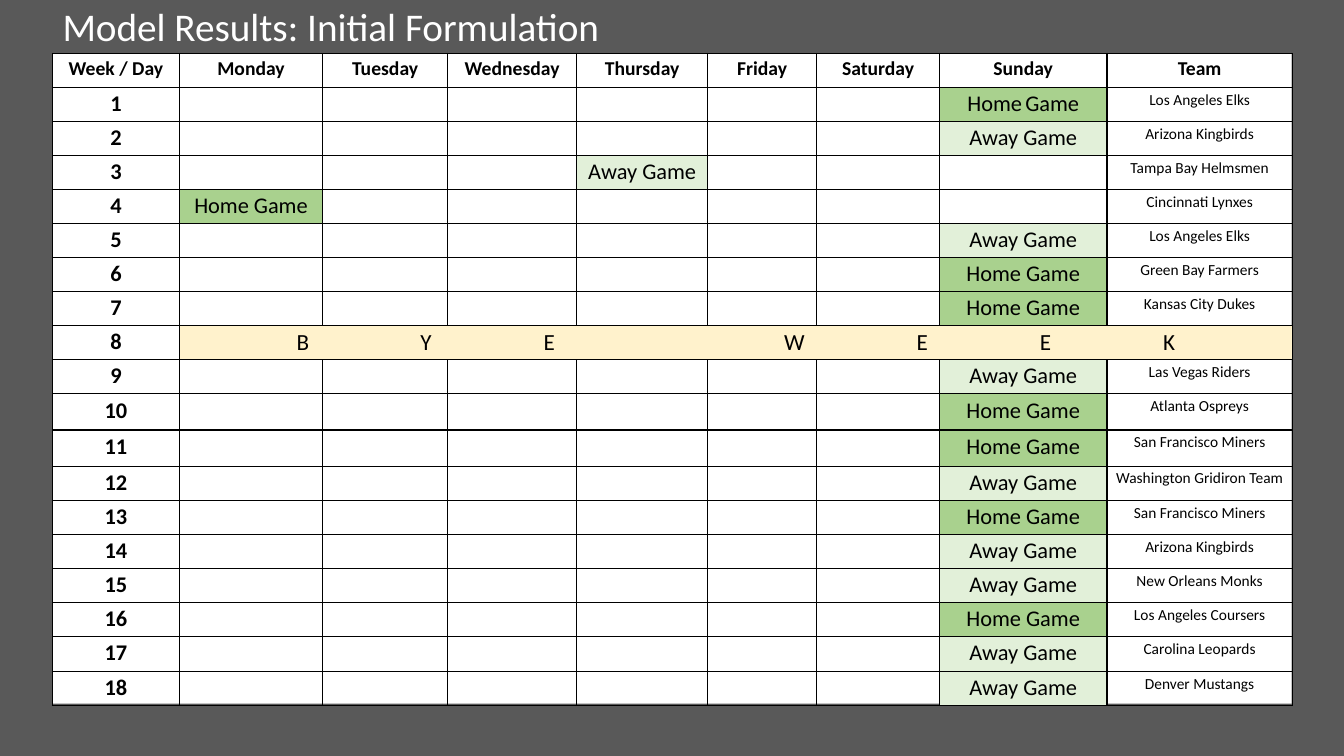
from typing import NamedTuple

from lxml.etree import SubElement
from pptx import Presentation
from pptx.dml.color import RGBColor
from pptx.enum.shapes import MSO_SHAPE as Shape
from pptx.enum.text import MSO_ANCHOR as Anchor, PP_ALIGN as Align
from pptx.oxml.ns import qn
from pptx.util import Inches, Pt

FONT = "Calibri"
BLACK, WHITE, GREY = "000000", "FFFFFF", "595959"
BYE_FILL = "FFF2CC"
GAME_FILLS = {"Home": "A9D18E", "Away": "E2F0D9"}

HEADINGS = ["Week / Day", "Monday", "Tuesday", "Wednesday", "Thursday",
            "Friday", "Saturday", "Sunday", "Team"]
COLUMN_WIDTHS = [1.26, 1.42, 1.24, 1.28, 1.3, 1.08, 1.22, 1.66, 1.84]
TABLE_LEFT, TABLE_TOP, TABLE_WIDTH, TABLE_HEIGHT = 0.52, 0.53, 12.29, 6.47
TALL_ROWS = {10: 0.36, 11: 0.36, 17: 0.35}
BYE_WEEK = 8


class Game(NamedTuple):
    week: int
    venue: str
    team: str
    day: str = "Sunday"


GAMES = [
    Game(1, "Home", "Los Angeles Elks"),
    Game(2, "Away", "Arizona Kingbirds"),
    Game(3, "Away", "Tampa Bay Helmsmen", "Thursday"),
    Game(4, "Home", "Cincinnati Lynxes", "Monday"),
    Game(5, "Away", "Los Angeles Elks"),
    Game(6, "Home", "Green Bay Farmers"),
    Game(7, "Home", "Kansas City Dukes"),
    Game(9, "Away", "Las Vegas Riders"),
    Game(10, "Home", "Atlanta Ospreys"),
    Game(11, "Home", "San Francisco Miners"),
    Game(12, "Away", "Washington Gridiron Team"),
    Game(13, "Home", "San Francisco Miners"),
    Game(14, "Away", "Arizona Kingbirds"),
    Game(15, "Away", "New Orleans Monks"),
    Game(16, "Home", "Los Angeles Coursers"),
    Game(17, "Away", "Carolina Leopards"),
    Game(18, "Away", "Denver Mustangs"),
]


def color(hex_code: str) -> RGBColor:
    return RGBColor.from_string(hex_code)


def add_text(paragraph, text: str, *, size: float, bold: bool = False,
             ink: str = BLACK, align=Align.CENTER, spacing: int = 0) -> None:
    paragraph.alignment = align
    run = paragraph.add_run()
    run.text = text
    run.font.name, run.font.size, run.font.bold = FONT, Pt(size), bold
    run.font.color.rgb = color(ink)
    if spacing:
        run.font._element.set("spc", str(spacing * 100))


def add_panel(slide, left: float, top: float, width: float, height: float,
              fill: str) -> None:
    panel = slide.shapes.add_shape(Shape.RECTANGLE, Inches(left), Inches(top),
                                   Inches(width), Inches(height))
    panel.shadow.inherit = False
    panel.fill.solid()
    panel.fill.fore_color.rgb = color(fill)
    panel.line.fill.background()


def fill_cell(cell, fill: str) -> None:
    cell.fill.solid()
    cell.fill.fore_color.rgb = color(fill)


def prepare_cell(cell) -> None:
    """Set insets, black borders and a small size for empty text."""
    cell.margin_left = cell.margin_right = Inches(0.06)
    cell.margin_top = cell.margin_bottom = Inches(0.03)
    properties = cell._tc.get_or_add_tcPr()
    for side in ("a:lnL", "a:lnR", "a:lnT", "a:lnB"):
        border = SubElement(properties, qn(side), w=str(Pt(1)))
        ink = SubElement(border, qn("a:solidFill"))
        SubElement(ink, qn("a:srgbClr"), val=BLACK)
    cell.fill.background()
    paragraph = cell.text_frame.paragraphs[0]
    SubElement(paragraph._p, qn("a:endParaRPr"), sz="1100")


def add_schedule(slide) -> None:
    row_count = GAMES[-1].week + 1
    table = slide.shapes.add_table(
        row_count, len(HEADINGS), Inches(TABLE_LEFT), Inches(TABLE_TOP),
        Inches(TABLE_WIDTH), Inches(TABLE_HEIGHT)).table
    table.first_row = table.horz_banding = False

    # Grid
    for column, width in zip(table.columns, COLUMN_WIDTHS):
        column.width = Inches(width)
    plain_height = ((TABLE_HEIGHT - sum(TALL_ROWS.values()))
                    / (row_count - len(TALL_ROWS)))
    for index, row in enumerate(table.rows):
        row.height = Inches(TALL_ROWS.get(index, plain_height))
    for cell in table.iter_cells():
        prepare_cell(cell)

    def paragraph_at(row: int, column: int):
        return table.cell(row, column).text_frame.paragraphs[0]

    # Headings and week numbers
    for column, heading in enumerate(HEADINGS):
        add_text(paragraph_at(0, column), heading, size=14, bold=True)
    for week in range(1, row_count):
        add_text(paragraph_at(week, 0), str(week), size=16, bold=True)

    # Games
    for game in GAMES:
        day = HEADINGS.index(game.day)
        fill_cell(table.cell(game.week, day), GAME_FILLS[game.venue])
        label = paragraph_at(game.week, day)
        if game.week == 1:
            for part, size in ((game.venue, 16), (" ", 10.5), ("Game", 16)):
                add_text(label, part, size=size)
        else:
            add_text(label, f"{game.venue} Game", size=16)
        add_text(paragraph_at(game.week, len(HEADINGS) - 1), game.team, size=11)

    # Bye week
    bye = table.cell(BYE_WEEK, 1)
    bye.merge(table.cell(BYE_WEEK, len(HEADINGS) - 1))
    fill_cell(bye, BYE_FILL)
    add_text(paragraph_at(BYE_WEEK, 1), "BYE WEEK", size=16.5, spacing=80)


def add_title(slide, text: str) -> None:
    title = slide.shapes.title
    title.left, title.top = Inches(TABLE_LEFT), Inches(0.02)
    title.width, title.height = Inches(9.85), Inches(0.54)
    frame = title.text_frame
    frame.word_wrap = True
    frame.vertical_anchor = Anchor.MIDDLE
    frame.paragraphs[0].line_spacing = 0.9
    add_text(frame.paragraphs[0], text, size=28, ink=WHITE, align=Align.LEFT)
    # Bring the title in front of the backdrop
    slide.shapes.element.append(title.element)


def main() -> None:
    deck = Presentation()
    deck.slide_width, deck.slide_height = Inches(13.33), Inches(7.5)
    slide = deck.slides.add_slide(deck.slide_layouts.get_by_name("Title Only"))

    add_panel(slide, 0, 0, 13.33, 7.5, GREY)
    add_panel(slide, TABLE_LEFT, TABLE_TOP, TABLE_WIDTH, 6.45, WHITE)
    add_schedule(slide)
    add_title(slide, "Model Results: Initial Formulation")
    deck.save("out.pptx")


if __name__ == "__main__":
    main()
